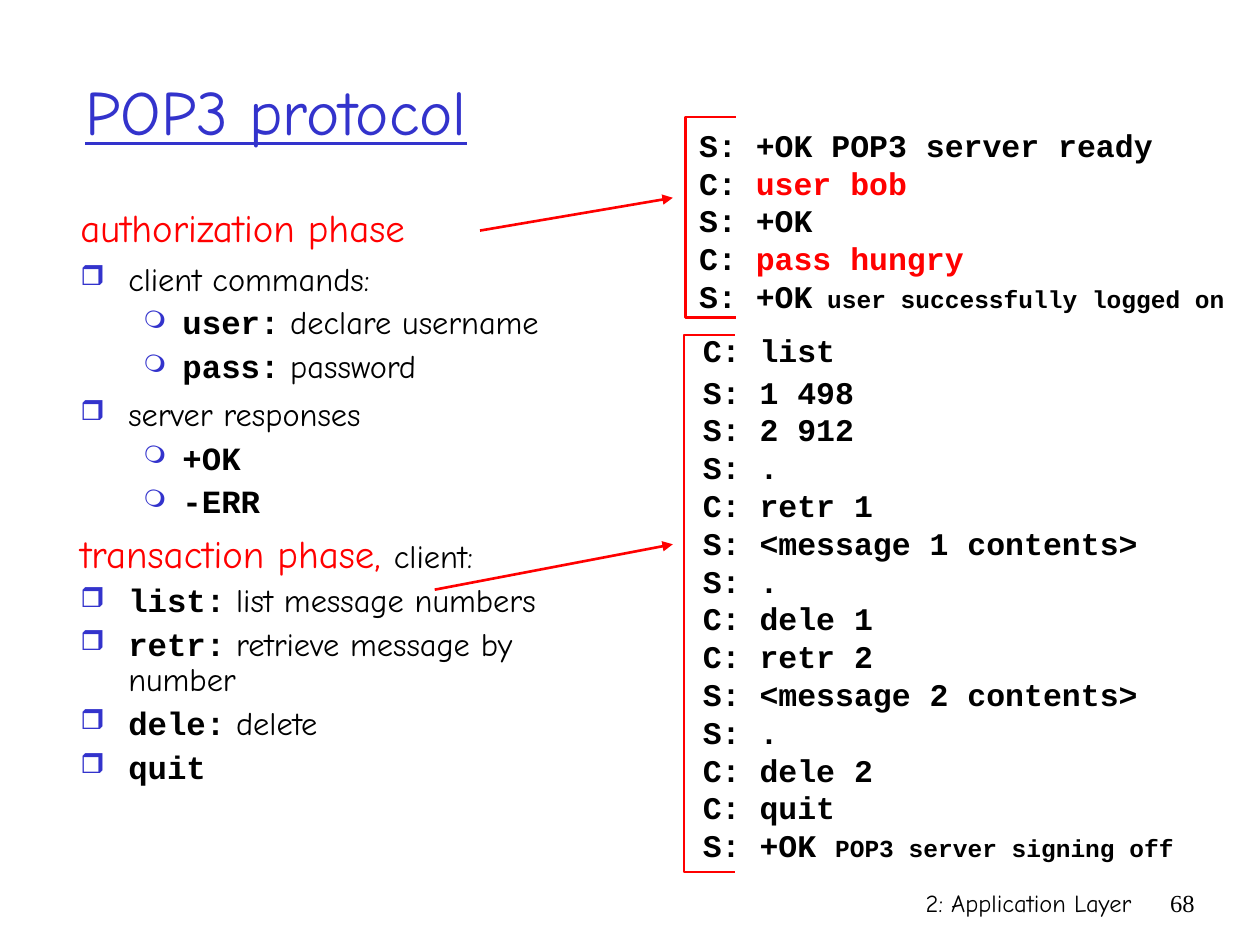
from lxml import etree
from pptx import Presentation
from pptx.dml.color import RGBColor
from pptx.enum.shapes import MSO_CONNECTOR
from pptx.enum.text import MSO_ANCHOR, PP_ALIGN
from pptx.oxml.ns import qn
from pptx.util import Inches, Pt

BLUE = RGBColor(0x33, 0x33, 0xCC)
RED = RGBColor(0xFF, 0x00, 0x00)
BLACK = RGBColor(0x00, 0x00, 0x00)
HAND, CODE, SERIF = "Comic Neue", "Courier New", "Times New Roman"
TOP, MIDDLE = MSO_ANCHOR.TOP, MSO_ANCHOR.MIDDLE
LEFT, RIGHT = PP_ALIGN.LEFT, PP_ALIGN.RIGHT
STRAIGHT = MSO_CONNECTOR.STRAIGHT

HEADING_SIZE, BODY_SIZE, CODE_SIZE, NOTE_SIZE = 22.2, 18.5, 18, 14

# Bullet styles: margin, hanging indent, character, size in percent
PLAIN = (0.38, 0.38, None, None)
SQUARE = (0.38, 0.38, "❒", 85)
CIRCLE = (0.81, 0.31, "❍", 75)

# Outline rows: bullet style, line spacing, code word, plain words
AUTHORIZATION = [
    (SQUARE, 1.0, "", "client commands:"),
    (CIRCLE, 0.9, "user:", " declare username"),
    (CIRCLE, 0.9, "pass:", " password"),
    (SQUARE, 1.0, "", "server responses"),
    (CIRCLE, 0.9, "+OK", ""),
    (CIRCLE, 0.9, "-ERR", ""),
]
TRANSACTION = [
    (SQUARE, 0.9, "list:", " list message numbers"),
    (SQUARE, 0.9, "retr:", " retrieve message by number"),
    (SQUARE, 0.9, "dele:", " delete"),
    (SQUARE, 0.9, "quit", ""),
]

# Transcript rows: plain code, red code, small note
LOGIN = [
    ("S: +OK POP3 server ready", "", ""),
    ("C: ", "user bob", ""),
    ("S: +OK", "", ""),
    ("C: ", "pass hungry", ""),
    ("S: +OK", "", " user successfully logged on"),
]
MAILBOX = [(line, "", "") for line in (
    "C: list", "S: 1 498", "S: 2 912", "S: .", "C: retr 1",
    "S: <message 1 contents>", "S: .", "C: dele 1", "C: retr 2",
    "S: <message 2 contents>", "S: .", "C: dele 2", "C: quit",
)] + [("S: +OK ", "", "POP3 server signing off")]


def add_frame(slide, box, anchor=TOP):
    frame = slide.shapes.add_textbox(*map(Inches, box)).text_frame
    frame.word_wrap = True
    frame.vertical_anchor = anchor
    return frame


def next_paragraph(frame):
    first = frame.paragraphs[0]
    return frame.add_paragraph() if first.runs else first


def write(paragraph, text, size=BODY_SIZE, face=HAND, color=BLACK,
          bold=False, underline=False, align=LEFT):
    paragraph.alignment = align
    run = paragraph.add_run()
    run.text = text
    font = run.font
    font.size, font.name = Pt(size), face
    font.bold, font.underline = bold, underline
    font.color.rgb = color


def set_bullet(paragraph, style):
    margin, hang, char, percent = style
    props = paragraph._p.get_or_add_pPr()
    props.set("marL", str(Inches(margin)))
    props.set("indent", str(-Inches(hang)))
    if char is None:
        etree.SubElement(props, qn("a:buNone"))
        return
    color = etree.SubElement(props, qn("a:buClr"))
    etree.SubElement(color, qn("a:srgbClr"), val=str(BLUE))
    etree.SubElement(props, qn("a:buSzPct"), val=str(percent * 1000))
    etree.SubElement(props, qn("a:buChar"), char=char)


def add_title(slide, box):
    write(add_frame(slide, box, MIDDLE).paragraphs[0], "POP3 protocol",
          size=36, color=BLUE, underline=True)


def add_phase(frame, heading, remark, rows):
    is_first = not frame.paragraphs[0].runs
    paragraph = next_paragraph(frame)
    set_bullet(paragraph, PLAIN)
    paragraph.space_before = Pt(0 if is_first else 5)
    write(paragraph, heading, size=HEADING_SIZE, color=RED)
    if remark:
        write(paragraph, remark)
    for style, spacing, command, words in rows:
        paragraph = next_paragraph(frame)
        set_bullet(paragraph, style)
        paragraph.level = 1 if style is CIRCLE else 0
        paragraph.line_spacing = spacing
        paragraph.space_before = Pt(5)
        if command:
            write(paragraph, command, face=CODE, bold=True)
        if words:
            write(paragraph, words)


def add_outline(slide, box):
    frame = add_frame(slide, box)
    add_phase(frame, "authorization phase", "", AUTHORIZATION)
    add_phase(frame, "transaction phase, ", "client:", TRANSACTION)


def add_transcript(slide, box, rows, first_gap=0):
    frame = add_frame(slide, box)
    for plain, typed, note in rows:
        paragraph = next_paragraph(frame)
        for text, size, color in ((plain, CODE_SIZE, BLACK),
                                  (typed, CODE_SIZE, RED),
                                  (note, NOTE_SIZE, BLACK)):
            if text:
                write(paragraph, text, size=size, face=CODE,
                      color=color, bold=True)
    frame.paragraphs[0].space_after = Pt(first_gap)


def add_bracket(slide, box):
    left, top, width, height = map(Inches, box)
    builder = slide.shapes.build_freeform(left + width, top)
    builder.add_line_segments([(left, top), (left, top + height),
                               (left + width, top + height)], close=False)
    bracket = builder.convert_to_shape()
    bracket.shadow.inherit = False
    bracket.fill.background()
    bracket.line.color.rgb = RED
    bracket.line.width = Pt(1.5)


def add_arrow(slide, start, end):
    arrow = slide.shapes.add_connector(STRAIGHT, *map(Inches, start + end))
    arrow.line.color.rgb = RED
    arrow.line.width = Pt(1.5)
    etree.SubElement(arrow.line._get_or_add_ln(), qn("a:tailEnd"),
                     type="triangle")
    etree.SubElement(arrow._element.spPr, qn("a:effectLst"))


def add_footer(slide, box):
    left, top, width, height = box
    number_width = 0.5
    chapter_width = width - number_width
    chapter = add_frame(slide, (left, top, chapter_width, height))
    write(chapter.paragraphs[0], "2: Application Layer", size=14, align=RIGHT)
    number = add_frame(slide, (left + chapter_width, top, number_width, height))
    write(number.paragraphs[0], "68", size=14, face=SERIF, align=RIGHT)


def main():
    deck = Presentation()
    deck.slide_width, deck.slide_height = Inches(10), Inches(7.5)
    slide = deck.slides.add_slide(deck.slide_layouts[6])

    add_footer(slide, (5.92, 7, 3.66, 0.5))
    add_title(slide, (0.58, 0.25, 8.5, 1.25))
    add_outline(slide, (0.54, 1.57, 4.34, 5.08))

    # Authorization dialogue
    add_transcript(slide, (5.45, 0.95, 4.5, 1.6), LOGIN)
    add_bracket(slide, (5.44, 0.93, 0.4, 1.59))
    add_arrow(slide, (3.81, 1.83), (5.34, 1.57))

    # Transaction dialogue
    add_transcript(slide, (5.48, 2.58, 4.2, 4.35), MAILBOX, first_gap=2)
    add_bracket(slide, (5.43, 2.66, 0.4, 4.26))
    add_arrow(slide, (3.45, 4.68), (5.34, 4.32))

    deck.save("out.pptx")


if __name__ == "__main__":
    main()
